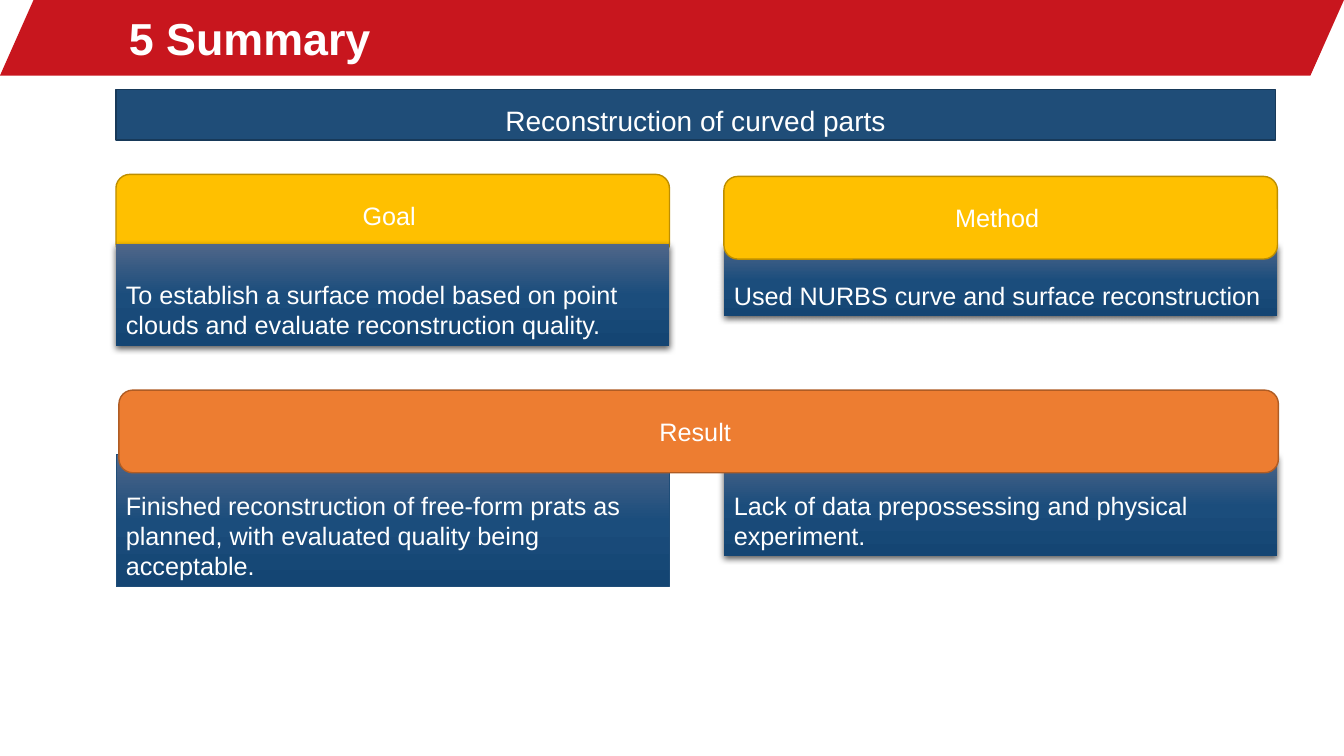
from lxml.etree import SubElement
from pptx import Presentation
from pptx.dml.color import RGBColor
from pptx.enum.shapes import MSO_SHAPE
from pptx.enum.text import MSO_ANCHOR, PP_ALIGN
from pptx.oxml import parse_xml
from pptx.oxml.ns import nsdecls, qn
from pptx.util import Inches, Pt

WHITE = RGBColor(0xFF, 0xFF, 0xFF)
RED = RGBColor(0xC8, 0x16, 0x1E)
GOLD = RGBColor(0xFF, 0xC0, 0x00)
OCHRE = RGBColor(0xBD, 0x8E, 0x00)
ORANGE = RGBColor(0xED, 0x7D, 0x31)
RUST = RGBColor(0xAF, 0x5C, 0x24)
BLUE = RGBColor(0x1F, 0x4D, 0x78)
NAVY = RGBColor(0x17, 0x39, 0x59)
FADE = ((0, "4F6689"), (50, "1B4D7C"), (100, "144573"))

LEFT, RIGHT, HALF, FULL = 1.15, 7.18, 5.49, 11.5

deck = Presentation()
deck.slide_width, deck.slide_height = Inches(13.33), Inches(7.5)
slide = deck.slides.add_slide(deck.slide_layouts[6])


def add_box(kind, at, fill=None, line=None, width=1):
    box = slide.shapes.add_shape(kind, *map(Inches, at))
    box.shadow.inherit = False
    if fill is not None:
        box.fill.solid()
        box.fill.fore_color.rgb = fill
    if line is None:
        box.line.fill.background()
    else:
        box.line.color.rgb = line
        box.line.width = Pt(width)
    return box


def set_text(box, text, size=18, align=PP_ALIGN.CENTER, anchor=MSO_ANCHOR.MIDDLE):
    frame = box.text_frame
    frame.word_wrap = True
    frame.vertical_anchor = anchor
    para = frame.paragraphs[0]
    para.text = text
    para.alignment = align
    para.font.name = "Arial"
    para.font.size = Pt(size)
    para.font.color.rgb = WHITE
    return para


# Title band
band = add_box(MSO_SHAPE.PARALLELOGRAM, (0, 0, 13.33, 0.75), RED)
band.adjustments[0] = 0.444

title = slide.shapes.add_textbox(Inches(1.18), Inches(0.05), Inches(7.74), Inches(0.65))
set_text(title, "5 Summary", 32, PP_ALIGN.LEFT).font.bold = True

# Topic banner
topic = add_box(MSO_SHAPE.RECTANGLE, (LEFT, 0.89, FULL, 0.5), BLUE, NAVY)
set_text(topic, "Reconstruction of curved parts", 20).line_spacing = 1.3

# The goal header lies under its panel
goal = add_box(MSO_SHAPE.ROUNDED_RECTANGLE, (LEFT, 1.73, HALF, 0.82), GOLD, OCHRE)
set_text(goal, "Goal ")

# Gradient panels: left, top, height, line, text
panels = (
    (LEFT, 2.42, 1.01, None,
     "To establish a surface model based on point clouds and evaluate reconstruction quality."),
    (RIGHT, 2.43, 0.71, None, "Used NURBS curve and surface reconstruction"),
    (LEFT, 4.51, 1.31, BLUE,
     "Finished reconstruction of free-form prats as planned, with evaluated quality being acceptable."),
    (RIGHT, 4.51, 1.01, None, "Lack of data prepossessing and physical experiment."),
)
stops = "".join(
    f'<a:gs pos="{pos * 1000}"><a:srgbClr val="{tint}"/></a:gs>' for pos, tint in FADE)
for left, top, height, line, text in panels:
    panel = add_box(MSO_SHAPE.RECTANGLE, (left, top, HALF, height), line=line, width=0.5)
    props = panel.element.spPr
    props.find(qn("a:prstGeom")).addnext(parse_xml(
        f'<a:gradFill {nsdecls("a")} rotWithShape="1"><a:gsLst>{stops}</a:gsLst>'
        '<a:lin ang="5400000" scaled="0"/></a:gradFill>'))
    if line is None:
        shade = SubElement(props.find(qn("a:effectLst")), qn("a:outerShdw"),
                           blurRad=str(Pt(4.5)), dist=str(Pt(1.5)),
                           dir="5400000", algn="ctr", rotWithShape="0")
        black = SubElement(shade, qn("a:srgbClr"), val="000000")
        SubElement(black, qn("a:alpha"), val="63000")
    set_text(panel, text, align=PP_ALIGN.LEFT, anchor=MSO_ANCHOR.TOP)
    panel.text_frame.margin_top = Inches(0.35)

# Headers over their panels
heads = (
    ("Method ", (RIGHT, 1.75, HALF, 0.82), GOLD, OCHRE),
    ("Result ", (1.18, 3.87, FULL, 0.82), ORANGE, RUST),
)
for text, at, fill, line in heads:
    set_text(add_box(MSO_SHAPE.ROUNDED_RECTANGLE, at, fill, line), text)

deck.save("out.pptx")
